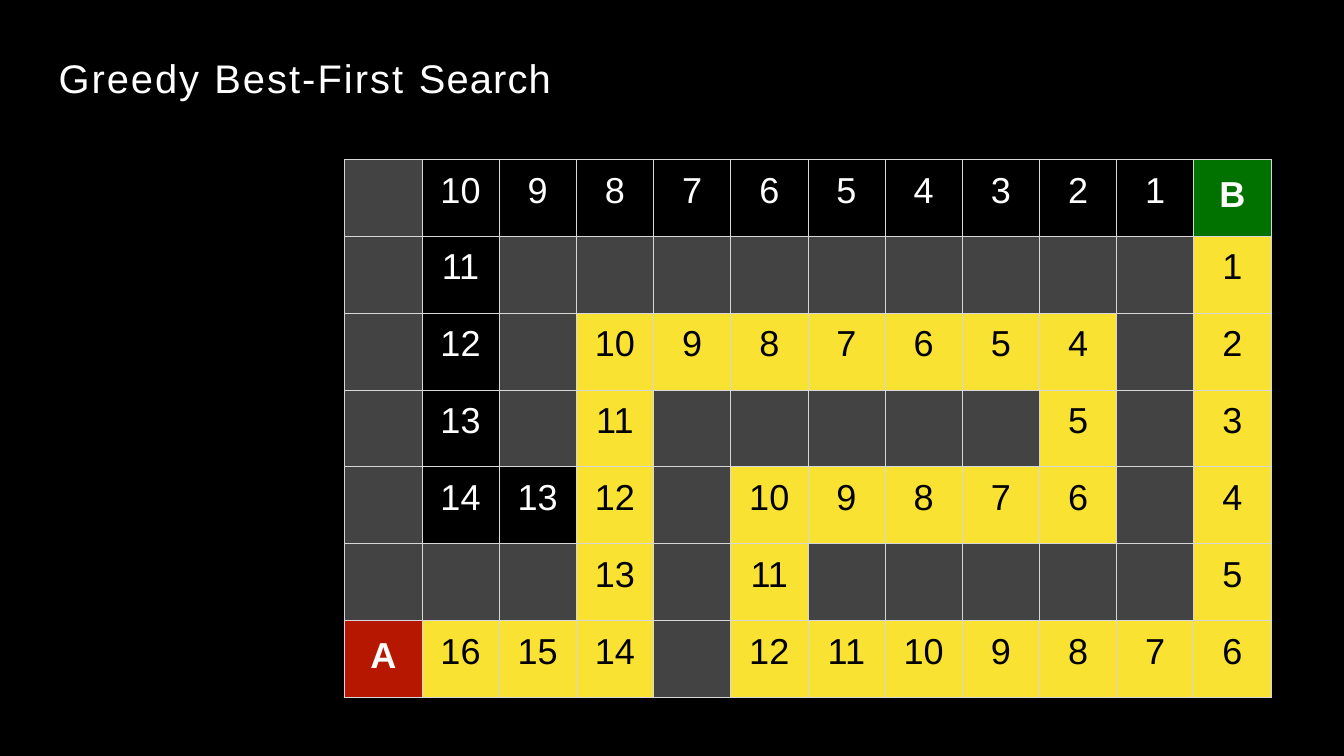
from lxml import etree
from pptx import Presentation
from pptx.dml.color import RGBColor
from pptx.enum.text import MSO_ANCHOR, MSO_AUTO_SIZE, PP_ALIGN
from pptx.oxml.ns import qn
from pptx.util import Inches, Pt

TOP = MSO_ANCHOR.TOP
NO_AUTOFIT = MSO_AUTO_SIZE.NONE
LEFT, CENTER = PP_ALIGN.LEFT, PP_ALIGN.CENTER
TITLE_ONLY_LAYOUT = 5

SLIDE_WIDTH, SLIDE_HEIGHT = 21.99, 12.37
TITLE_BOX = (0.96, 0.86, 8.07, 0.81)
MAZE_BOX = (5.64, 2.61, 15.16, 8.8)

FONT = "Arial"
BLACK, WHITE = "000000", "FFFFFF"
WALL, EXPLORED = "434343", "FAE232"
START, GOAL = "B51700", "017100"
GRID_LINE = "D6D7D6"

# Title parts with their letter spacing in hundredths of a point
TITLE_PARTS = [("Greedy ", 230), ("Best-First ", 240), ("Search", 140)]

# "#" is a wall, "*" marks an explored square, numbers are distances to B
MAZE = [row.split() for row in (
    "#  10  9   8   7   6   5   4   3   2   1   B",
    "#  11  #   #   #   #   #   #   #   #   #   1*",
    "#  12  #   10* 9*  8*  7*  6*  5*  4*  #   2*",
    "#  13  #   11* #   #   #   #   #   5*  #   3*",
    "#  14  13  12* #   10* 9*  8*  7*  6*  #   4*",
    "#  #   #   13* #   11* #   #   #   #   #   5*",
    "A  16* 15* 14* #   12* 11* 10* 9*  8*  7*  6*",
)]


def color(hex_string):
    return RGBColor.from_string(hex_string)


def set_font(paragraph, size, hex_string, bold=False):
    font = paragraph.font
    font.name, font.size, font.bold = FONT, Pt(size), bold
    font.color.rgb = color(hex_string)


def add_title(slide, box):
    title = slide.shapes.title
    title.left, title.top, title.width, title.height = map(Inches, box)
    frame = title.text_frame
    frame.margin_left = frame.margin_right = frame.margin_bottom = 0
    frame.margin_top = Inches(0.01)
    frame.vertical_anchor = TOP
    frame.auto_size = NO_AUTOFIT
    heading = frame.paragraphs[0]
    heading.alignment = LEFT
    set_font(heading, 47, WHITE)
    for words, spacing in TITLE_PARTS:
        run = heading.add_run()
        run.text = words
        run.font._element.set("spc", str(spacing))


def add_borders(cell):
    properties = cell._tc.get_or_add_tcPr()
    for side in ("lnL", "lnR", "lnT", "lnB"):
        line = etree.SubElement(properties, qn(f"a:{side}"), w=str(Pt(1)))
        fill = etree.SubElement(line, qn("a:solidFill"))
        etree.SubElement(fill, qn("a:srgbClr"), val=GRID_LINE)


def square_fill(mark):
    if mark.endswith("*"):
        return EXPLORED
    return {"#": WALL, "A": START, "B": GOAL}.get(mark, BLACK)


def fill_square(cell, mark):
    add_borders(cell)
    background = square_fill(mark)
    cell.fill.solid()
    cell.fill.fore_color.rgb = color(background)
    if mark == "#":
        return
    is_endpoint = mark in ("A", "B")
    cell.margin_left = cell.margin_right = cell.margin_bottom = 0
    cell.margin_top = Inches(0.26 if is_endpoint else 0.18)
    cell.vertical_anchor = TOP
    cell.text = mark.rstrip("*")
    label = cell.text_frame.paragraphs[0]
    label.alignment = CENTER
    set_font(label, 42.5, BLACK if background == EXPLORED else WHITE, is_endpoint)


def add_maze(slide, box):
    left, top, width, height = map(Inches, box)
    row_count, column_count = len(MAZE), len(MAZE[0])
    maze = slide.shapes.add_table(
        row_count, column_count, left, top, width, height).table
    maze.first_row = maze.horz_banding = False
    for row, marks in enumerate(MAZE):
        for column, mark in enumerate(marks):
            fill_square(maze.cell(row, column), mark)


def main():
    deck = Presentation()
    deck.slide_width, deck.slide_height = Inches(SLIDE_WIDTH), Inches(SLIDE_HEIGHT)
    slide = deck.slides.add_slide(deck.slide_layouts[TITLE_ONLY_LAYOUT])
    slide.background.fill.solid()
    slide.background.fill.fore_color.rgb = color(BLACK)
    add_maze(slide, MAZE_BOX)
    add_title(slide, TITLE_BOX)
    deck.save("out.pptx")


if __name__ == "__main__":
    main()
